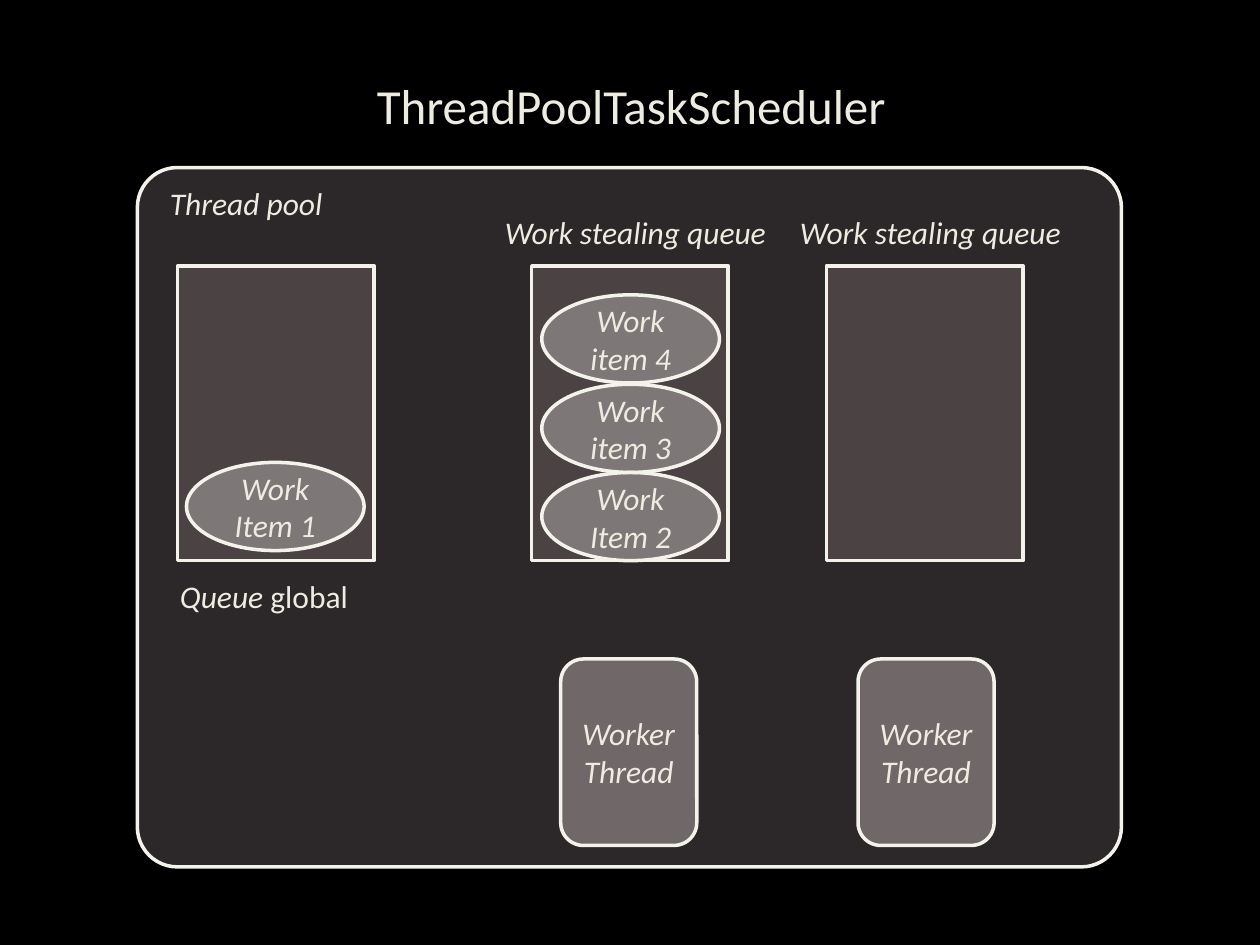
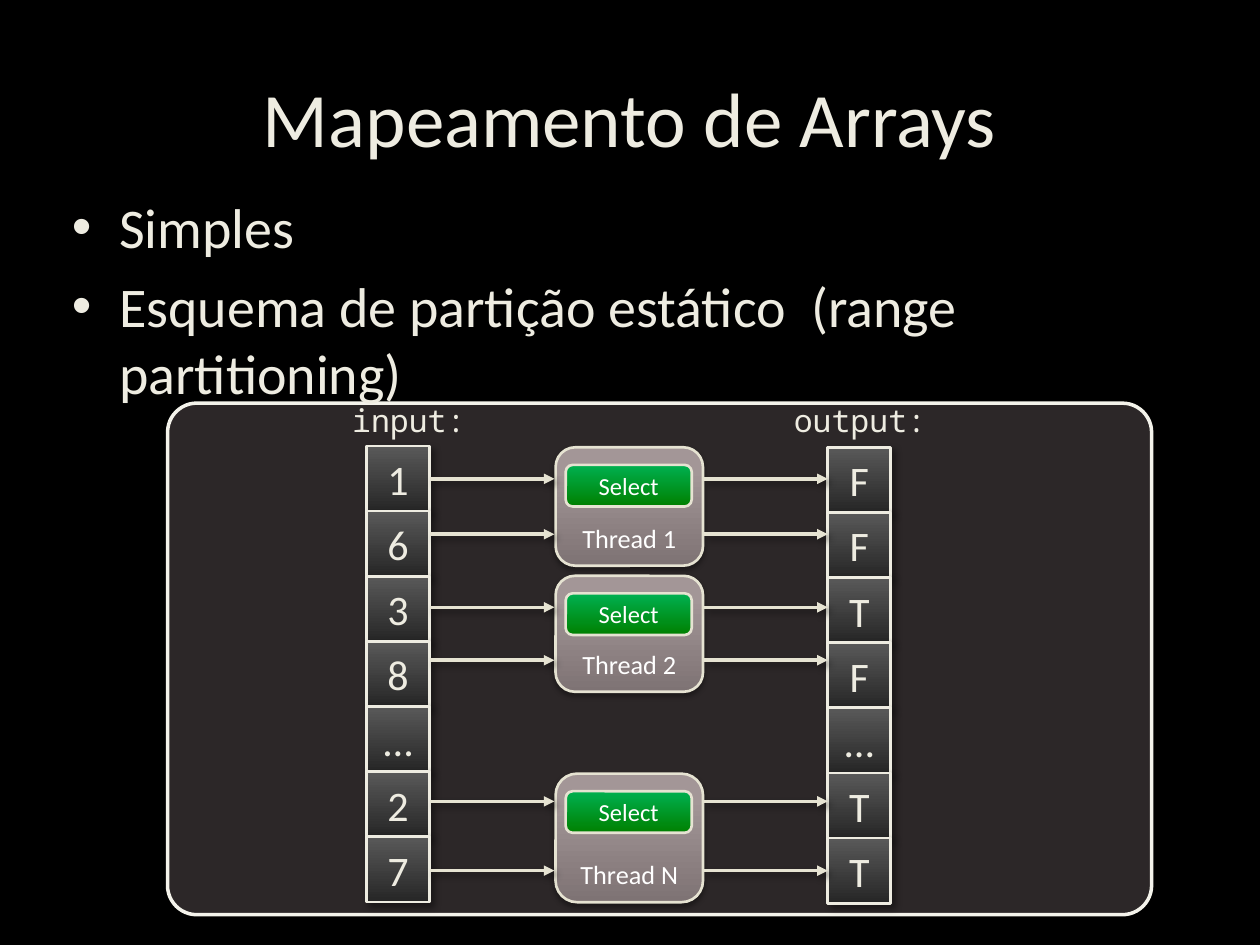
"""Builds two slides on thread pool scheduling and array mapping."""
import pptx
import pptx.dml.color
import pptx.enum.shapes
import pptx.enum.text
import pptx.oxml
import pptx.oxml.ns
import pptx.util
from lxml import etree

Inches = pptx.util.Inches
RGBColor = pptx.dml.color.RGBColor
SHAPE = pptx.enum.shapes.MSO_SHAPE
ALIGN = pptx.enum.text.PP_ALIGN
ANCHOR = pptx.enum.text.MSO_ANCHOR
qn = pptx.oxml.ns.qn

BLACK = RGBColor(0x00, 0x00, 0x00)
WHITE = RGBColor(0xFF, 0xFF, 0xFF)
CREAM = RGBColor(0xEE, 0xEC, 0xE1)
OUTLINE = RGBColor(0xF4, 0xF3, 0xEB)
SAND = RGBColor(0xE6, 0xE3, 0xD2)
POOL = RGBColor(0x56, 0x4C, 0x4D)
QUEUE = RGBColor(0x80, 0x72, 0x73)
WORKER = RGBColor(0xA7, 0x9C, 0x9D)
WORK_ITEM = RGBColor(0xCA, 0xC4, 0xC4)
CELL_GRADIENT = ((0, RGBColor(0x26, 0x26, 0x26)), (1, RGBColor(0x59, 0x59, 0x59)))
THREAD_GRADIENT = ((0, RGBColor(0x7E, 0x73, 0x74)), (0.8, RGBColor(0xA3, 0x96, 0x97)))
SELECT_GRADIENT = ((0, RGBColor(0x00, 0x80, 0x00)), (1, RGBColor(0x00, 0xB0, 0x50)))

EFFECTS = (
    '<a:effectLst xmlns:a="http://schemas.openxmlformats.org/drawingml/2006/main">'
    '<a:outerShdw blurRad="{}" dist="{}" dir="{}" rotWithShape="0">'
    '<a:srgbClr val="000000"><a:alpha val="{}"/></a:srgbClr></a:outerShdw></a:effectLst>'
)
SIDE_SHADOW = EFFECTS.format(50800, 38100, 2700000, 40000)
DROP_SHADOW = EFFECTS.format(39400, 22900, 5400000, 35000)


def add_block(slide, kind, box, fill, line, width, opacity=100, corner=None, shadow=None):
    """Add a shape with a plain see-through fill or an upward gradient."""
    block = slide.shapes.add_shape(kind, *map(Inches, box))
    if corner is not None:
        block.adjustments[0] = corner
    if isinstance(fill, RGBColor):
        block.fill.solid()
        block.fill.fore_color.rgb = fill
        colour = block.element.spPr.find(".//" + qn("a:srgbClr"))
        etree.SubElement(colour, qn("a:alpha")).set("val", str(opacity * 1000))
    else:
        block.fill.gradient()
        block.fill.gradient_angle = 90
        for stop, (position, colour) in zip(block.fill.gradient_stops, fill):
            stop.position = position
            stop.color.rgb = colour
    block.line.color.rgb = line
    block.line.width = pptx.util.Pt(width)
    if shadow:
        block.element.spPr.append(pptx.oxml.parse_xml(shadow))
    else:
        block.shadow.inherit = False
    return block


def format_text(shape, size, colour=CREAM, italic=False, font="Calibri",
                align=ALIGN.CENTER, anchor=ANCHOR.MIDDLE):
    """Give all the text of a shape one look."""
    frame = shape.text_frame
    frame.word_wrap = True
    frame.auto_size = pptx.enum.text.MSO_AUTO_SIZE.NONE
    frame.vertical_anchor = anchor
    for paragraph in frame.paragraphs:
        paragraph.alignment = align
        for run in paragraph.runs:
            run.font.name = font
            run.font.size = pptx.util.Pt(size)
            run.font.italic = italic
            run.font.color.rgb = colour


prs = pptx.Presentation()
prs.slide_width, prs.slide_height = Inches(10), Inches(7.5)
prs.slide_master.background.fill.solid()
prs.slide_master.background.fill.fore_color.rgb = BLACK
scheduler = prs.slides.add_slide(prs.slide_layouts[5])
mapping = prs.slides.add_slide(prs.slide_layouts[1])

for slide, heading, box, size, align, anchor in (
    (scheduler, "ThreadPoolTaskScheduler", (2.89, 0.55, 4.4, 0.57), 28, ALIGN.LEFT, ANCHOR.TOP),
    (mapping, "Mapeamento de Arrays", (0.5, 0.3, 9, 1.25), 44, ALIGN.CENTER, ANCHOR.MIDDLE),
):
    title = slide.shapes.title
    title.left, title.top, title.width, title.height = map(Inches, box)
    title.text_frame.text = heading
    format_text(title, size, align=align, anchor=anchor)

add_block(scheduler, SHAPE.ROUNDED_RECTANGLE, (1.09, 1.33, 7.81, 5.55), POOL, OUTLINE, 2, 52, 0.057)
for queue_left in (1.41, 4.22, 6.56):
    add_block(scheduler, SHAPE.ROUNDED_RECTANGLE, (queue_left, 2.11, 1.56, 2.34),
              QUEUE, OUTLINE, 2, 36, 0)

for caption, left, top, width in (
    ("Thread pool", 1.25, 1.41, 2.03),
    ("Work stealing queue", 3.91, 1.64, 2.66),
    ("Work stealing queue", 6.25, 1.64, 2.66),
    ("Queue ", 1.33, 4.53, 2.66),
):
    label = scheduler.shapes.add_textbox(*map(Inches, (left, top, width, 0.4)))
    label.text_frame.text = caption
    if caption == "Queue ":
        label.text_frame.paragraphs[0].add_run().text = "global"
    format_text(label, 18, italic=True, align=ALIGN.LEFT, anchor=ANCHOR.TOP)
    for upright_run in label.text_frame.paragraphs[0].runs[1:]:
        upright_run.font.italic = False

for worker_left, worker_name in ((4.45, "Worker\nThread"), (6.81, "Worker Thread")):
    worker = add_block(scheduler, SHAPE.ROUNDED_RECTANGLE, (worker_left, 5.23, 1.08, 1.48),
                       WORKER, OUTLINE, 2, 55)
    worker.text_frame.text = worker_name
    format_text(worker, 18, italic=True)

for item_name, left, top in (
    ("Work\nItem 1", 1.48, 3.67),
    ("Work\nItem 2", 4.3, 3.75),
    ("Work item 3", 4.3, 3.05),
    ("Work item 4", 4.3, 2.34),
):
    work_item = add_block(scheduler, SHAPE.OVAL, (left, top, 1.41, 0.7), WORK_ITEM, OUTLINE, 2, 41)
    work_item.text_frame.text = item_name
    format_text(work_item, 18, italic=True)

frame_panel = add_block(mapping, SHAPE.ROUNDED_RECTANGLE, (1.33, 3.2, 7.81, 4.06),
                        POOL, OUTLINE, 2, 52, 0.057)
mapping.shapes.title.element.addprevious(frame_panel.element)

points = mapping.placeholders[1]
points.left, points.top, points.width, points.height = map(Inches, (0.47, 1.48, 9, 1.72))
points.text_frame.text = "Simples\nEsquema de partição estático  (range partitioning)"
format_text(points, 32, align=ALIGN.LEFT, anchor=ANCHOR.TOP)

CELL_PITCH = 3.1 / 6
for array_name, label_left, cell_left, first_top, values in (
    ("input:", 2.66, 2.91, 3.54, "1638…27"),
    ("output:", 6.24, 6.57, 3.55, "FFTF…TT"),
):
    array_label = mapping.shapes.add_textbox(*map(Inches, (label_left, 3.13, 1.17, 0.4)))
    array_label.text_frame.text = array_name
    format_text(array_label, 18, font="Noto Sans Mono", anchor=ANCHOR.TOP)
    array_label.text_frame.word_wrap = False
    for index, value in enumerate(values):
        cell = add_block(mapping, SHAPE.RECTANGLE,
                         (cell_left, first_top + index * CELL_PITCH, 0.5, 0.52),
                         CELL_GRADIENT, CREAM, 1.5, shadow=SIDE_SHADOW)
        cell.text_frame.text = value
        format_text(cell, 24)

for thread_name, top, height, arrow_rows in (
    ("Thread 1", 3.55, 0.94, (3.8, 4.24)),
    ("Thread 2", 4.57, 0.92, (4.82, 5.24)),
    ("Thread N", 6.14, 1.02, (6.36, 6.91)),
):
    thread = add_block(mapping, SHAPE.ROUNDED_RECTANGLE, (4.41, top, 1.17, height),
                       THREAD_GRADIENT, SAND, 1.5, shadow=DROP_SHADOW)
    thread.text_frame.text = thread_name
    format_text(thread, 15, WHITE, anchor=ANCHOR.BOTTOM)
    select = add_block(mapping, SHAPE.ROUNDED_RECTANGLE, (4.49, top + 0.14, 1, 0.33),
                       SELECT_GRADIENT, SAND, 1.5)
    select.text_frame.text = "Select"
    format_text(select, 14, WHITE)
    for row in arrow_rows:
        for start, end in ((3.41, 4.4), (5.58, 6.57)):
            arrow = mapping.shapes.add_connector(
                pptx.enum.shapes.MSO_CONNECTOR.STRAIGHT, *map(Inches, (start, row, end, row)))
            arrow.line.color.rgb = SAND
            arrow.line.width = pptx.util.Pt(2)
            outline = arrow.element.spPr.find(qn("a:ln"))
            etree.SubElement(outline, qn("a:tailEnd")).set("type", "triangle")
            arrow.element.spPr.append(pptx.oxml.parse_xml(SIDE_SHADOW))

prs.save("out.pptx")
